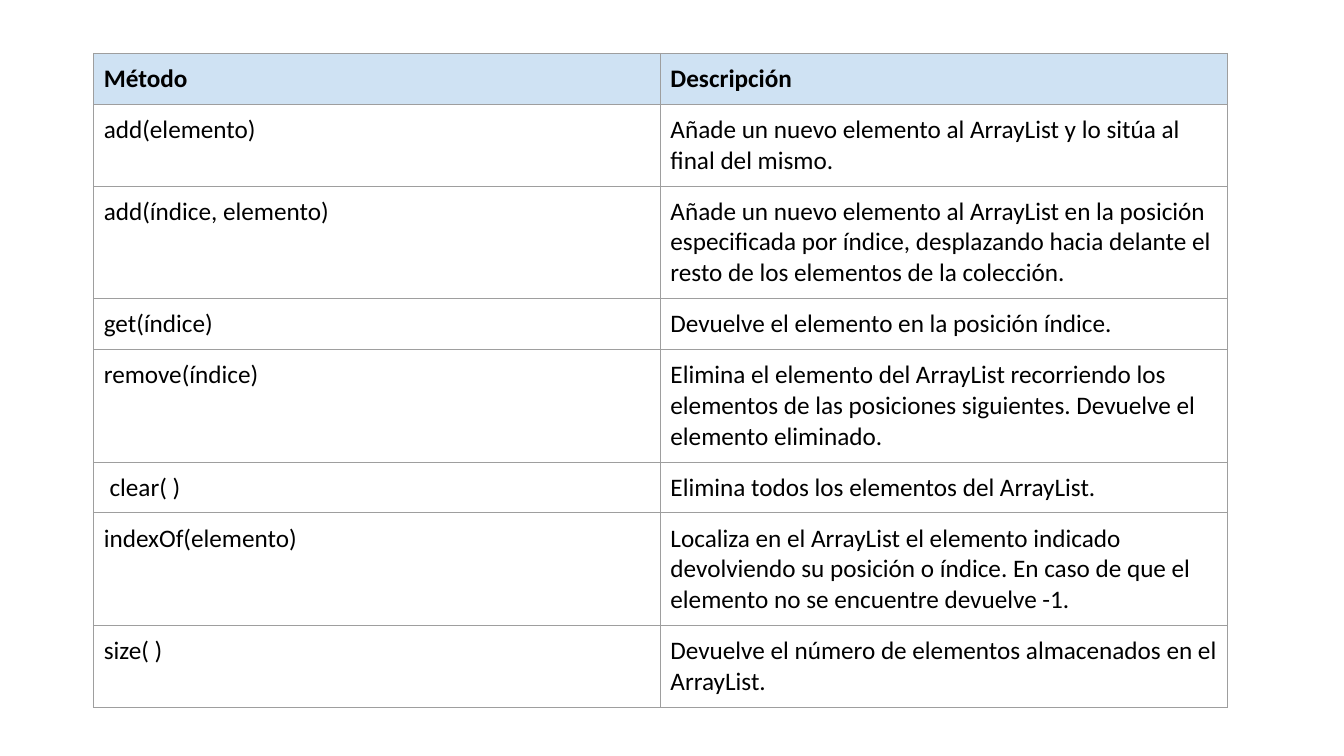
import pptx
import pptx.dml.color
import pptx.oxml
import pptx.oxml.ns
import pptx.util

PX = 9144  # 100 px to the inch
FONT = "Calibri"
INK, HEADER_FILL, GRID = "000000", "CFE2F3", "9E9E9E"

METHODS = [
    ("Método", "Descripción"),
    ("add(elemento)",
     "Añade un nuevo elemento al ArrayList y lo sitúa al final del mismo."),
    ("add(índice, elemento)",
     "Añade un nuevo elemento al ArrayList en la posición especificada por índice, "
     "desplazando hacia delante el resto de los elementos de la colección."),
    ("get(índice)", "Devuelve el elemento en la posición índice."),
    ("remove(índice)",
     "Elimina el elemento del ArrayList recorriendo los elementos de las posiciones "
     "siguientes. Devuelve el elemento eliminado."),
    (" clear( )", "Elimina todos los elementos del ArrayList."),
    ("indexOf(elemento)",
     "Localiza en el ArrayList el elemento indicado devolviendo su posición o índice. "
     "En caso de que el elemento no se encuentre devuelve -1."),
    ("size( )", "Devuelve el número de elementos almacenados en el ArrayList."),
]


def px(length):
    return pptx.util.Emu(length * PX)


def color(value):
    return pptx.dml.color.RGBColor.from_string(value)


def add_borders(cell):
    """Draw a thin line on all four sides; lines go before the fill."""
    properties = cell._tc.get_or_add_tcPr()
    for position, side in enumerate(("lnL", "lnR", "lnT", "lnB")):
        border = pptx.oxml.parse_xml(
            f'<a:{side} {pptx.oxml.ns.nsdecls("a")} w="{pptx.util.Pt(0.75)}">'
            f'<a:solidFill><a:srgbClr val="{GRID}"/></a:solidFill></a:{side}>')
        properties.insert(position, border)


def format_cell(cell, text, is_header):
    cell.margin_left = cell.margin_right = px(10)
    cell.margin_top = cell.margin_bottom = px(10)
    if is_header:
        cell.fill.solid()
        cell.fill.fore_color.rgb = color(HEADER_FILL)
    else:
        cell.fill.background()
    add_borders(cell)
    cell.text_frame.text = text
    font = cell.text_frame.paragraphs[0].runs[0].font
    font.name = FONT
    font.size = pptx.util.Pt(18)
    font.bold = is_header
    font.color.rgb = color(INK)


def add_method_table(slide, left, top, width, height):
    frame = slide.shapes.add_table(
        len(METHODS), 2, px(left), px(top), px(width), px(height))
    table = frame.table
    table.first_row = table.horz_banding = False
    # Rows start at a minimum height and grow with their text
    for row, texts in zip(table.rows, METHODS):
        row.height = px(42)
        for cell, text in zip(row.cells, texts):
            format_cell(cell, text, texts is METHODS[0])
    frame.height = px(height)


def main():
    deck = pptx.Presentation()
    deck.slide_width, deck.slide_height = px(1333), px(750)
    slide = deck.slides.add_slide(deck.slide_layouts[6])
    add_method_table(slide, 93, 53, 1124, 640)
    deck.save("out.pptx")


if __name__ == "__main__":
    main()
